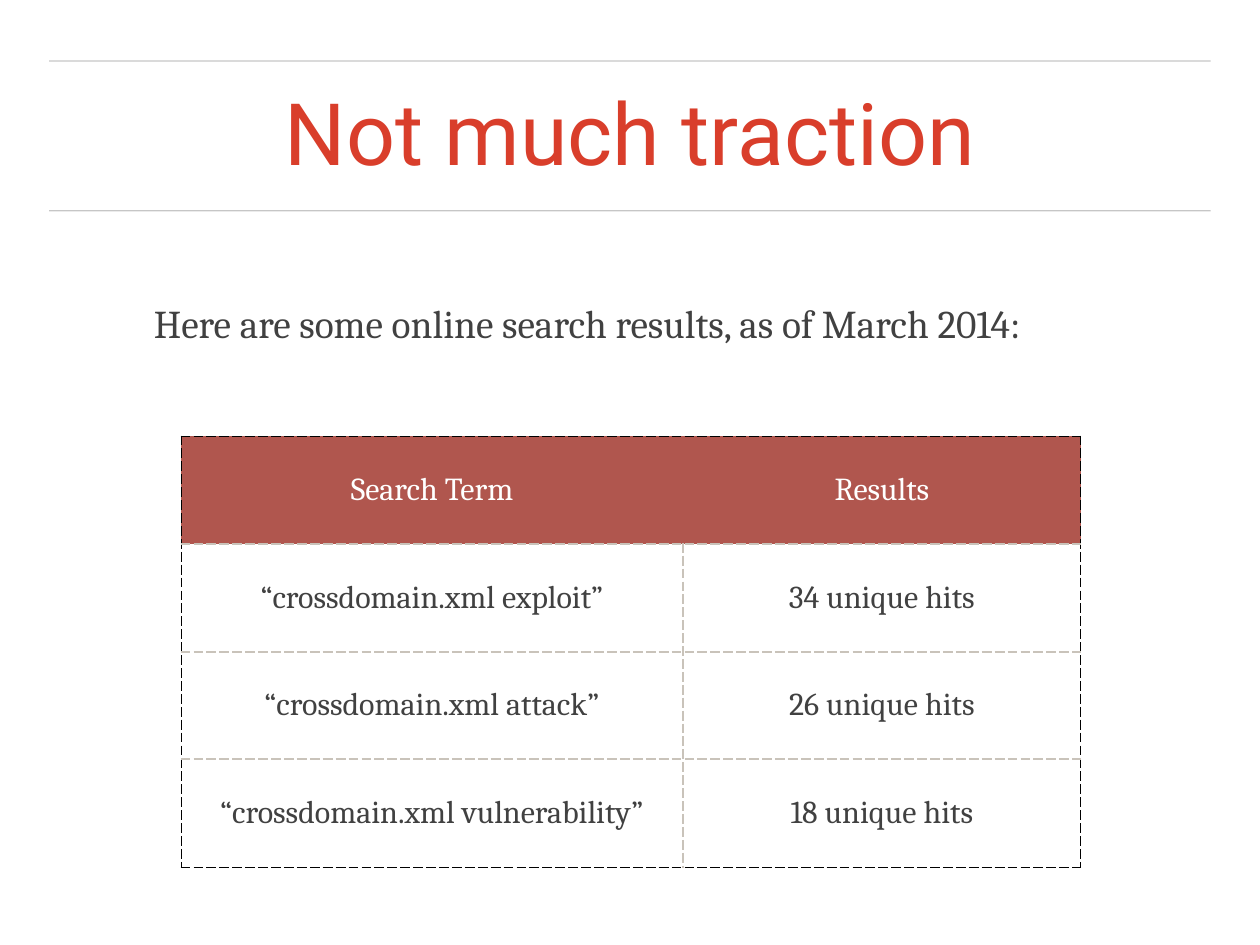
from dataclasses import dataclass

from lxml.etree import SubElement
from pptx import Presentation
from pptx.dml.color import RGBColor
from pptx.enum.shapes import MSO_CONNECTOR
from pptx.enum.text import MSO_ANCHOR, PP_ALIGN
from pptx.oxml.ns import qn
from pptx.util import Inches, Pt

COLS, ROWS = 128, 96


@dataclass(frozen=True)
class Theme:
    """Colours, fonts and type sizes of the deck."""
    accent: str = "D93E2B"
    header: str = "B0564E"
    ink: str = "414141"
    rule: str = "444444"
    grid: str = "C9C3BA"
    frame: str = "000000"
    paper: str = "FFFFFF"
    heading: str = "Roboto"
    body: str = "Cambria"
    title_size: int = 70
    lead_size: int = 32
    cell_size: int = 26


def write(tf, text, *, size, font, color, align=PP_ALIGN.CENTER, spacing=None):
    """Write one formatted paragraph into a text frame."""
    p = tf.paragraphs[0]
    p.alignment = align
    p.line_spacing = spacing
    r = p.add_run()
    r.text = text
    r.font.size = Pt(size)
    r.font.name = font
    r.font.bold = False
    r.font.color.rgb = RGBColor.from_string(color)


def set_margins(box, inset):
    """Give a text frame or a cell the same margin on all sides."""
    box.margin_left = box.margin_right = box.margin_top = box.margin_bottom = Inches(inset)


def set_border(cell, side, color, width):
    """Draw one dashed cell border, or none when the colour is None."""
    ln = SubElement(cell._tc.get_or_add_tcPr(), qn(f"a:ln{side}"), w=str(Pt(width)))
    if color is None:
        SubElement(ln, qn("a:noFill"))
        return
    SubElement(SubElement(ln, qn("a:solidFill")), qn("a:srgbClr"), val=color)
    SubElement(ln, qn("a:prstDash"), val="dash")


class SlideBuilder:
    """Places themed elements on a slide by grid columns and rows."""

    def __init__(self, prs, theme):
        """Add a title-only slide."""
        self.theme = theme
        self.col = prs.slide_width / COLS
        self.row = prs.slide_height / ROWS
        self.s = prs.slides.add_slide(prs.slide_layouts[5])

    def at(self, x, y, w, h):
        """Turn grid units into slide lengths."""
        return [int(n * unit) for n, unit in zip((x, y, w, h), (self.col, self.row) * 2)]

    def rule(self, x, y, w):
        """Draw a faint horizontal rule."""
        left, top, width, _ = self.at(x, y, w, 0)
        sp = self.s.shapes.add_connector(MSO_CONNECTOR.STRAIGHT, left, top, left + width, top)
        sp.line.width = Pt(1)
        sp.line.color.rgb = RGBColor.from_string(self.theme.rule)
        clr = sp.line._ln.find(qn("a:solidFill")).find(qn("a:srgbClr"))
        SubElement(clr, qn("a:alpha"), val="30000")
        SubElement(sp._element.spPr, qn("a:effectLst"))

    def title(self, text, *box):
        """Fill and place the title placeholder."""
        t = self.theme
        sp = self.s.shapes.title
        sp.left, sp.top, sp.width, sp.height = self.at(*box)
        tf = sp.text_frame
        tf.word_wrap = True
        tf.vertical_anchor = MSO_ANCHOR.MIDDLE
        set_margins(tf, 0)
        write(tf, text, size=t.title_size, font=t.heading, color=t.accent, spacing=0.9)

    def lead(self, text, *box):
        """Add the sentence that introduces the table."""
        t = self.theme
        tf = self.s.shapes.add_textbox(*self.at(*box)).text_frame
        tf.word_wrap = True
        tf.vertical_anchor = MSO_ANCHOR.MIDDLE
        set_margins(tf, 0.06)
        write(tf, text, size=t.lead_size, font=t.body, color=t.ink, align=PP_ALIGN.LEFT)

    def table(self, data, x, y, widths, row_height):
        """Add a framed table whose first row is the header."""
        t = self.theme
        last_row, last_col = len(data) - 1, len(widths) - 1
        box = self.at(x, y, sum(widths), row_height * len(data))
        tbl = self.s.shapes.add_table(len(data), len(widths), *box).table
        tbl.first_row = tbl.horz_banding = False
        for column, width in zip(tbl.columns, widths):
            column.width = int(width * self.col)
        for i, values in enumerate(data):
            tbl.rows[i].height = int(row_height * self.row)
            for j, value in enumerate(values):
                cell = tbl.cell(i, j)
                outer = {"L": j == 0, "R": j == last_col, "T": i == 0, "B": i == last_row}
                for side, on_frame in outer.items():
                    inner = None if i == 0 and side in "LR" else t.grid
                    set_border(cell, side, *((t.frame, 1) if on_frame else (inner, 2)))
                if i == 0:
                    cell.fill.solid()
                    cell.fill.fore_color.rgb = RGBColor.from_string(t.header)
                else:
                    cell.fill.background()
                cell.vertical_anchor = MSO_ANCHOR.MIDDLE
                set_margins(cell, 0.06)
                write(cell.text_frame, value, size=t.cell_size, font=t.body,
                      color=t.ink if i else t.paper)


def main():
    """Build and save the slide."""
    prs = Presentation()
    prs.slide_width, prs.slide_height = Inches(14.22), Inches(10.67)
    slide = SlideBuilder(prs, Theme())
    for y in (6.2, 21.4):
        slide.rule(5, y, 118)
    slide.title("Not much traction", 5, 8, 118, 12)
    slide.lead("Here are some online search results, as of March 2014:", 15.1, 29.7, 97.8, 6.2)
    results = [
        ("Search Term", "Results"),
        ("“crossdomain.xml exploit”", "34 unique hits"),
        ("“crossdomain.xml attack”", "26 unique hits"),
        ("“crossdomain.xml vulnerability”", "18 unique hits"),
    ]
    slide.table(results, 18.4, 44.3, (51, 40.4), 10.95)
    prs.save("out.pptx")


if __name__ == "__main__":
    main()
